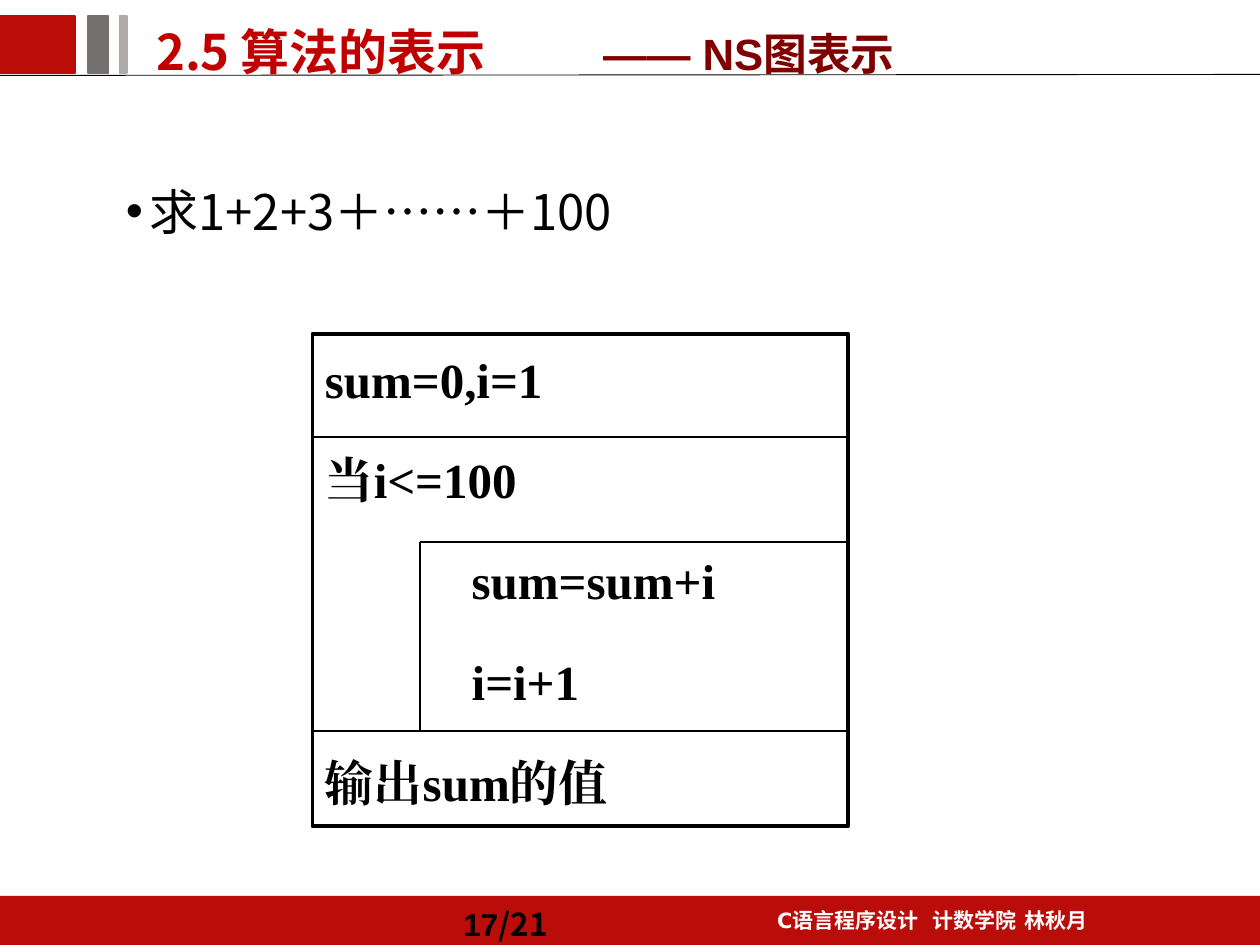
from pptx import Presentation
from pptx.dml.color import RGBColor
from pptx.enum.shapes import MSO_CONNECTOR, MSO_SHAPE
from pptx.enum.text import MSO_ANCHOR, PP_ALIGN
from pptx.oxml.ns import qn
from pptx.util import Cm, Pt
from lxml.etree import SubElement

WIDTH, HEIGHT = 25.4, 19.05
RED, BLACK = "BA0D09", "000000"
CJK, SERIF = "Noto Sans CJK SC", "Times New Roman"


def color(value):
    return RGBColor.from_string(value)


def add_rect(shapes, x, y, w, h, fill=None, line=None, weight=1):
    sp = shapes.add_shape(MSO_SHAPE.RECTANGLE, Cm(x), Cm(y), Cm(w), Cm(h))
    sp.shadow.inherit = False
    if fill:
        sp.fill.solid()
        sp.fill.fore_color.rgb = color(fill)
    else:
        sp.fill.background()
    if line:
        sp.line.color.rgb = color(line)
        sp.line.width = Pt(weight)
    else:
        sp.line.fill.background()
    return sp


def add_line(shapes, x1, y1, x2, y2, weight=1):
    cxn = shapes.add_connector(MSO_CONNECTOR.STRAIGHT, Cm(x1), Cm(y1), Cm(x2), Cm(y2))
    cxn.line.color.rgb = color(BLACK)
    cxn.line.width = Pt(weight)
    SubElement(cxn._element.spPr, qn("a:effectLst"))


def add_run(p, text, size, font, rgb, bold=True):
    r = p.add_run()
    r.text = text
    r.font.size = Pt(size)
    r.font.name = font
    r.font.bold = bold
    r.font.color.rgb = color(rgb)
    SubElement(r._r.get_or_add_rPr(), qn("a:ea")).set("typeface", font)


def set_spacing(p, before=0, after=0, line=1.0):
    p.space_before, p.space_after = Pt(before), Pt(after)
    p.line_spacing = line


def add_text(shapes, x, y, w, h, anchor=MSO_ANCHOR.TOP):
    """Add an empty wrapping text box and return its first paragraph."""
    tf = shapes.add_textbox(Cm(x), Cm(y), Cm(w), Cm(h)).text_frame
    tf.word_wrap = True
    tf.vertical_anchor = anchor
    return tf.paragraphs[0]


def add_header(shapes, x, y, w):
    add_line(shapes, x, y + 1.52, x + w, y + 1.5, 0.5)
    for dx, bar_w, rgb in ((0, 1.52, RED), (1.78, 0.41, "767171"), (2.41, 0.15, "AFABAB")):
        add_rect(shapes, x + dx, y + 0.33, bar_w, 1.14, rgb, rgb)

    p = add_text(shapes, x + 2.9, y + 0.08, 12.22, 1.7)
    set_spacing(p, 5.6, 11.2, 1.2)
    add_run(p, "2.5 算法的表示", 28, CJK, "C00000")

    p = add_text(shapes, x + 11.91, y + 0.41, 8.51, 1.32, MSO_ANCHOR.BOTTOM)
    add_run(p, "—— NS图表示", 25, "Arial", "800000")


def add_footer(shapes, x, y, w, h):
    add_rect(shapes, x, y, w, h, RED)

    p = add_text(shapes, x + 14.3, y, 8.99, 0.86)
    p.alignment = PP_ALIGN.CENTER
    set_spacing(p, 2.4, 4.8, 1.2)
    add_run(p, "C语言程序设计  计数学院 林秋月", 12, "DejaVu Sans", "FFFFFF")

    p = add_text(shapes, x + 9.09, y, 3.61, h, MSO_ANCHOR.MIDDLE)
    set_spacing(p, 3.6, 0, 1.2)
    add_run(p, "17", 18, "Arial", BLACK)
    add_run(p, "/21", 18, CJK, BLACK)


def add_task(shapes, x, y, w, h):
    p = add_text(shapes, x, y, w, h)
    set_spacing(p, 7.5, 0, 1.2)
    pPr = p._p.get_or_add_pPr()
    pPr.set("marL", str(Cm(0.48)))
    pPr.set("indent", str(-Cm(0.48)))
    SubElement(pPr, qn("a:buFont")).set("typeface", "Arial")
    SubElement(pPr, qn("a:buChar")).set("char", "•")
    add_run(p, "求1+2+3＋……＋100", 28, CJK, BLACK, bold=False)


def add_ns_diagram(shapes, x, y, w, h):
    """Draw the NS chart: a start row, a loop with an indented body, an output row."""
    group = shapes.add_group_shape().shapes
    right, body_x = x + w, x + 2.16
    loop_y, body_y, output_y = y + 2.08, y + 4.19, y + 8.0

    tf = add_rect(group, x, y, w, h, line=BLACK, weight=2.25).text_frame
    tf.word_wrap = True
    tf.vertical_anchor = MSO_ANCHOR.MIDDLE
    steps = (("sum=0,i=1", 0), ("当i<=100", 0), ("sum=sum+i", 2.96),
             ("i=i+1", 2.96), ("输出sum的值", 0))
    for i, (text, indent) in enumerate(steps):
        p = tf.add_paragraph() if i else tf.paragraphs[0]
        p.alignment = PP_ALIGN.LEFT
        set_spacing(p, 12, 12)
        p._p.get_or_add_pPr().set("marL", str(Cm(indent)))
        add_run(p, text, 28, SERIF, BLACK)

    for left, top in ((x, loop_y), (x, output_y), (body_x, body_y)):
        add_line(group, left, top, right, top)
    add_line(group, body_x, body_y, body_x, output_y)


def main():
    prs = Presentation()
    prs.slide_width, prs.slide_height = Cm(WIDTH), Cm(HEIGHT)
    s = prs.slides.add_slide(prs.slide_layouts[6])
    add_footer(s.shapes, 0, 18.06, WIDTH, 0.99)
    add_header(s.shapes, 0, 0, WIDTH)
    add_task(s.shapes, 2.29, 3.3, 21.59, 11.43)
    add_ns_diagram(s.shapes, 6.3, 6.73, 10.8, 9.93)
    prs.save("out.pptx")


if __name__ == "__main__":
    main()
